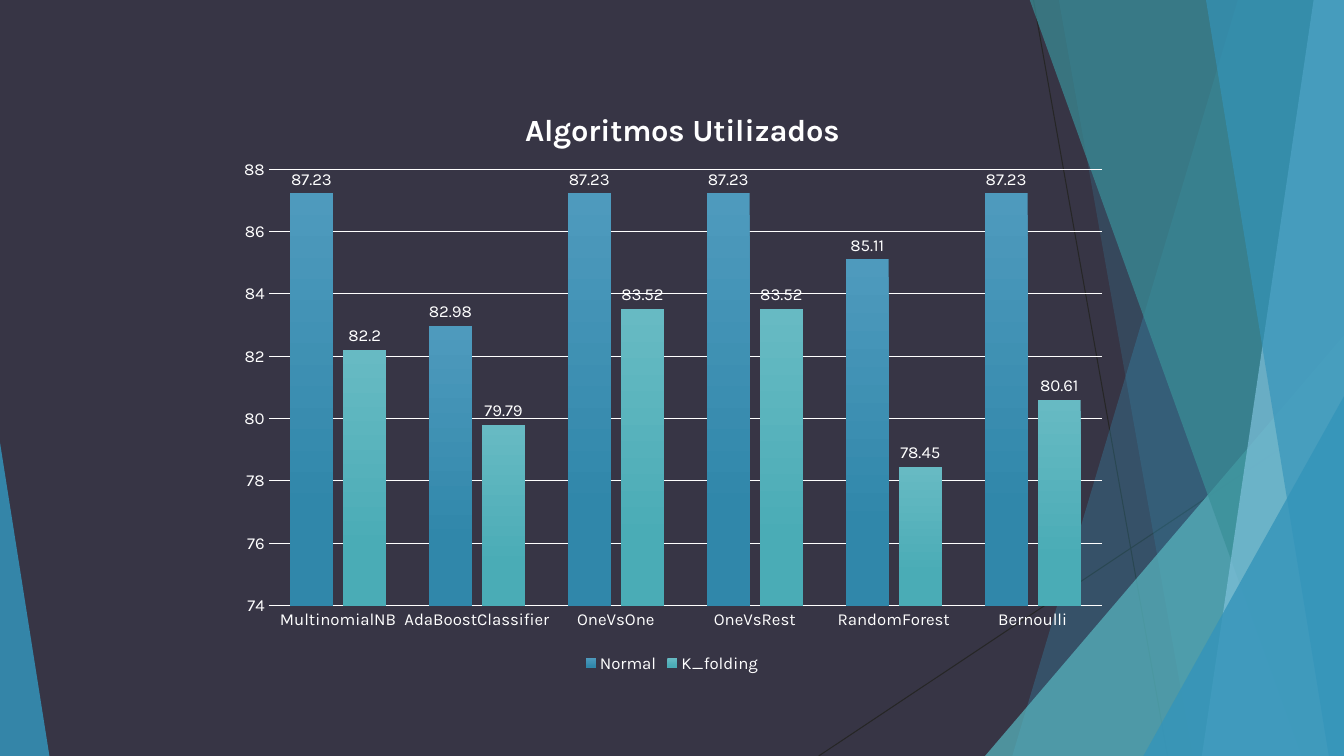
import lxml.etree
import pptx
import pptx.chart.data
import pptx.dml.color
import pptx.enum.chart
import pptx.enum.shapes
import pptx.oxml
import pptx.oxml.ns
import pptx.util

Inches = pptx.util.Inches
qn = pptx.oxml.ns.qn

WIDTH, HEIGHT = 13.33, 7.5
COLORS = {
    "background": "373545",
    "text": "FFFFFF",
    "thread": "262626",
    "blue": "3494BA",
    "pale_blue": "7FC1DB",
    "teal": "58B6C0",
    "deep_teal": "3A8F98",
    "normal_top": "4E9ABD",
    "normal_base": "3087AA",
    "folding_top": "67BAC3",
    "folding_base": "4AACB6",
}


def color(name):
    return pptx.dml.color.RGBColor.from_string(COLORS[name])


def style_font(font, size=12, bold=False):
    font.name = "Karla"
    font.size = pptx.util.Pt(size)
    font.bold = bold
    font.color.rgb = color("text")


def write_text(frame, text, **text_format):
    frame.text = text
    style_font(frame.paragraphs[0].runs[0].font, **text_format)


def manual_layout(**values):
    layout = pptx.oxml.parse_xml(
        '<c:layout xmlns:c="http://schemas.openxmlformats.org/drawingml/2006/chart">'
        "<c:manualLayout/></c:layout>"
    )
    for tag, value in values.items():
        lxml.etree.SubElement(layout[0], qn(f"c:{tag}")).set("val", str(value))
    return layout


def place(element, **values):
    for old in element.findall(qn("c:layout")):
        element.remove(old)
    text = element.find(qn("c:tx"))
    position = 0 if text is None else element.index(text) + 1
    element.insert(position, manual_layout(**values))


class Deck:
    def __init__(self):
        self.presentation = pptx.Presentation()
        self.presentation.slide_width = Inches(WIDTH)
        self.presentation.slide_height = Inches(HEIGHT)
        self.slide = self.presentation.slides.add_slide(self.presentation.slide_layouts[6])
        backdrop = self.slide.background.fill
        backdrop.solid()
        backdrop.fore_color.rgb = color("background")

    def thread(self, x1, y1, x2, y2):
        thread = self.slide.shapes.add_connector(
            pptx.enum.shapes.MSO_CONNECTOR.STRAIGHT, Inches(x1), Inches(y1), Inches(x2), Inches(y2)
        )
        thread.line.color.rgb = color("thread")
        thread.line.width = pptx.util.Pt(0.75)
        lxml.etree.SubElement(thread.element.spPr, qn("a:effectLst"))

    def glaze(self, facet, fill, opacity):
        facet.shadow.inherit = False
        facet.fill.solid()
        facet.fill.fore_color.rgb = color(fill)
        facet.line.fill.background()
        tint = facet.element.spPr.find(qn("a:solidFill"))[0]
        lxml.etree.SubElement(tint, qn("a:alpha")).set("val", str(opacity * 1000))

    def ribbon(self, top_x, bottom_x, fill, opacity):
        outline = self.slide.shapes.build_freeform(Inches(top_x), Inches(-0.01))
        corners = [(WIDTH, -0.01), (WIDTH, HEIGHT), (bottom_x, HEIGHT)]
        outline.add_line_segments([(Inches(x), Inches(y)) for x, y in corners], close=True)
        self.glaze(outline.convert_to_shape(), fill, opacity)

    def wedge(self, left, top, width, apex, fill, opacity):
        wedge = self.slide.shapes.add_shape(
            pptx.enum.shapes.MSO_SHAPE.ISOSCELES_TRIANGLE,
            Inches(left), Inches(top), Inches(width), Inches(HEIGHT - top),
        )
        wedge.adjustments[0] = apex
        self.glaze(wedge, fill, opacity)

    def column_chart(self, title, algorithms, scores, gradients):
        scores_data = pptx.chart.data.CategoryChartData()
        scores_data.categories = algorithms
        for method, values in scores.items():
            scores_data.add_series(method, values)
        chart = self.slide.shapes.add_chart(
            pptx.enum.chart.XL_CHART_TYPE.COLUMN_CLUSTERED,
            Inches(2.22), Inches(0.79), Inches(8.89), Inches(5.93), scores_data,
        ).chart
        style_font(chart.font, size=10)

        chart.has_title = True
        write_text(chart.chart_title.text_frame, title, size=22, bold=True)
        chart.chart_title.include_in_layout = False
        place(chart.chart_title._element, xMode="edge", yMode="edge", x=0.33, y=0.04)
        place(
            chart._chartSpace.chart.plotArea,
            layoutTarget="inner", xMode="edge", yMode="edge", x=0.05, y=0.15, w=0.93, h=0.73,
        )

        chart.has_legend = True
        chart.legend.position = pptx.enum.chart.XL_LEGEND_POSITION.BOTTOM
        chart.legend.include_in_layout = False
        style_font(chart.legend.font)
        self.axes(chart)

        plot = chart.plots[0]
        plot.gap_width = 100
        plot.overlap = -24
        plot.vary_by_categories = False
        for series, gradient in zip(plot.series, gradients):
            self.columns(series, gradient)

    def axes(self, chart):
        for axis in (chart.category_axis, chart.value_axis):
            axis.major_tick_mark = pptx.enum.chart.XL_TICK_MARK.NONE
            axis.minor_tick_mark = pptx.enum.chart.XL_TICK_MARK.NONE
            style_font(axis.tick_labels.font)
        chart.category_axis.format.line.color.rgb = color("text")
        chart.category_axis.format.line.width = pptx.util.Pt(1)

        score_axis = chart.value_axis
        score_axis.minimum_scale, score_axis.maximum_scale = 74, 88
        score_axis.major_unit = 2
        score_axis.format.line.fill.background()
        grid = score_axis.major_gridlines.format.line
        grid.color.rgb = color("text")
        grid.width = pptx.util.Pt(0.75)

    def columns(self, series, gradient):
        series.invert_if_negative = False
        fill = series.format.fill
        fill.gradient()
        fill.gradient_angle = 270
        for stop, name, position in zip(fill.gradient_stops, gradient, (0, 0.78)):
            stop.color.rgb = color(name)
            stop.position = position
        labels = series.data_labels
        labels.show_value = True
        labels.position = pptx.enum.chart.XL_LABEL_POSITION.OUTSIDE_END
        style_font(labels.font)


def main():
    deck = Deck()
    deck.thread(10.25, 0, 11.58, HEIGHT)
    deck.thread(WIDTH, 4.03, 8.12, HEIGHT)
    deck.ribbon(12.28, 10.04, "blue", 30)
    deck.ribbon(10.5, 11.83, "blue", 20)
    deck.wedge(9.77, 3.33, 3.56, 1, "teal", 72)
    deck.ribbon(10.21, 12.91, "deep_teal", 70)
    deck.ribbon(13.03, 11.92, "pale_blue", 70)
    deck.ribbon(11.96, 13.18, "blue", 65)
    deck.wedge(11.34, 3.93, 1.99, 1, "blue", 80)
    deck.wedge(0, 4.39, 0.49, 0, "blue", 85)
    deck.column_chart(
        "Algoritmos Utilizados",
        ["MultinomialNB", "AdaBoostClassifier", "OneVsOne", "OneVsRest", "RandomForest", "Bernoulli"],
        {
            "Normal": [87.23, 82.98, 87.23, 87.23, 85.11, 87.23],
            "K_folding": [82.2, 79.79, 83.52, 83.52, 78.45, 80.61],
        },
        [("normal_top", "normal_base"), ("folding_top", "folding_base")],
    )
    deck.presentation.save("out.pptx")


if __name__ == "__main__":
    main()
